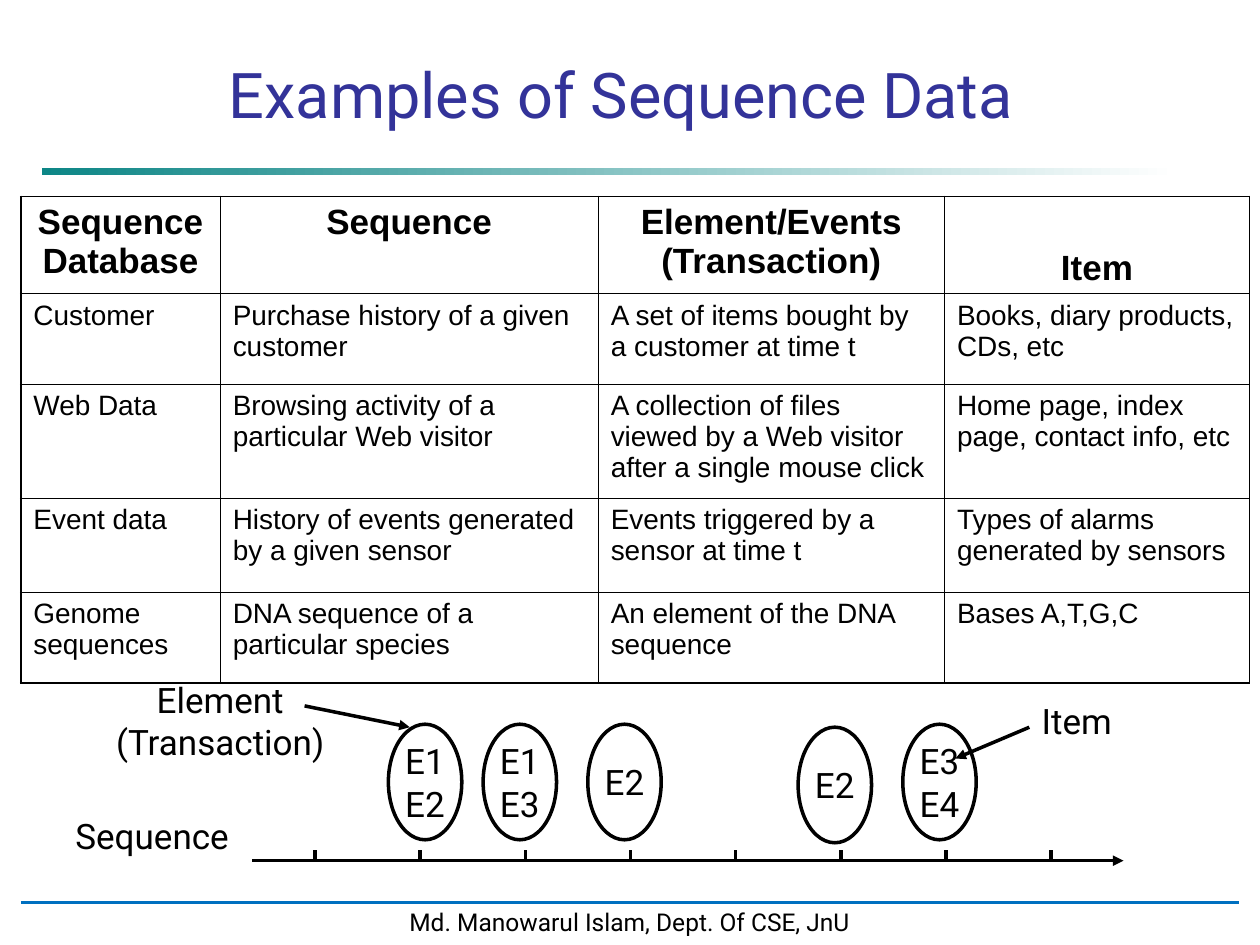
from pptx import Presentation
from pptx.dml.color import RGBColor
from pptx.enum.shapes import MSO_CONNECTOR, MSO_SHAPE
from pptx.enum.text import MSO_ANCHOR as Anchor, MSO_AUTO_SIZE as AutoSize, PP_ALIGN as Align
from pptx.oxml.ns import qn
from pptx.util import Cm, Pt
from lxml.etree import SubElement

TITLE = "Examples of Sequence Data"
FOOTER = "Md. Manowarul Islam, Dept. Of CSE, JnU"
TABLE = [
    ("Sequence Database", "Sequence", "Element/Events (Transaction)", "Item"),
    ("Customer", "Purchase history of a given customer",
     "A set of items bought by a customer at time t", "Books, diary products, CDs, etc"),
    ("Web Data", "Browsing activity of a particular Web visitor",
     "A collection of files viewed by a Web visitor after a single mouse click",
     "Home page, index page, contact info, etc"),
    ("Event data", "History of events generated by a given sensor",
     "Events triggered by a sensor at time t", "Types of alarms generated by sensors"),
    ("Genome sequences", "DNA sequence of a particular species",
     "An element of the DNA sequence", "Bases A,T,G,C"),
]
COLUMN_WIDTHS = [4.02, 7.62, 6.98, 6.15]
ROW_HEIGHTS = [1.96, 1.82, 2.3, 1.9, 1.83]
ELEMENTS = [("E1\nE2", 7.83, 14.6), ("E1\nE3", 9.74, 14.6), ("E2", 11.85, 14.6),
            ("E2", 16.09, 14.66), ("E3\nE4", 18.2, 14.6)]
LABELS = [("Sequence", 1.27, 16.3, 4.24, 1.12, Align.LEFT),
          ("Element (Transaction)", 1.9, 13.55, 5.08, 1.96, Align.CENTER),
          ("Item", 20.75, 13.97, 2.75, 1.12, Align.LEFT)]
ARROWS = [(5.08, 17.35, 22.65, 17.35), (6.14, 14.23, 8.26, 14.66), (20.75, 14.66, 19.26, 15.29)]
TICK_START, TICK_GAP, TICK_COUNT = 6.35, 2.12, 8
TICK_TOP, AXIS_Y = 17.14, 17.35
BLACK, WHITE = "000000", "FFFFFF"


def color(value):
    return RGBColor.from_string(value)


def write(frame, text, font="Roboto", size=20, ink=BLACK, bold=False,
          align=Align.LEFT, anchor=Anchor.TOP, wrap=True, after=0):
    frame.word_wrap = wrap
    frame.vertical_anchor = anchor
    para = frame.paragraphs[0]
    para.text = text
    para.alignment = align
    para.space_before, para.space_after = Pt(0), Pt(after)
    for span in para.runs:
        span.font.name, span.font.size, span.font.bold = font, Pt(size), bold
        span.font.color.rgb = color(ink)


def draw_shape(page, kind, left, top, width, height):
    shape = page.shapes.add_shape(kind, Cm(left), Cm(top), Cm(width), Cm(height))
    shape.shadow.inherit = False
    return shape


def draw_line(page, start_x, start_y, end_x, end_y, ink=BLACK, width=2, arrow=False):
    line = page.shapes.add_connector(
        MSO_CONNECTOR.STRAIGHT, Cm(start_x), Cm(start_y), Cm(end_x), Cm(end_y))
    line.line.color.rgb = color(ink)
    line.line.width = Pt(width)
    if arrow:
        SubElement(line.line._get_or_add_ln(), qn("a:tailEnd"), type="triangle")
    SubElement(line._element.spPr, qn("a:effectLst"))


def draw_border(cell, side, width):
    border = SubElement(cell._tc.get_or_add_tcPr(), qn(f"a:ln{side}"), w=str(Pt(width)))
    fill = SubElement(border, qn("a:solidFill"))
    SubElement(fill, qn("a:srgbClr"), val=BLACK)


def draw_table(page):
    last_row, last_column = len(TABLE) - 1, len(COLUMN_WIDTHS) - 1
    table = page.shapes.add_table(
        len(TABLE), len(COLUMN_WIDTHS), Cm(0.42), Cm(3.96),
        Cm(sum(COLUMN_WIDTHS)), Cm(sum(ROW_HEIGHTS))).table
    table.first_row = table.horz_banding = False
    for column, width in zip(table.columns, COLUMN_WIDTHS):
        column.width = Cm(width)
    for row, height in zip(table.rows, ROW_HEIGHTS):
        row.height = Cm(height)
    for r, texts in enumerate(TABLE):
        for c, text in enumerate(texts):
            cell = table.cell(r, c)
            header = r == 0
            write(cell.text_frame, text, font="Arial", size=20 if header else 16, bold=header,
                  align=Align.CENTER if header else Align.LEFT, after=4)
            cell.vertical_anchor = Anchor.BOTTOM if text == "Item" else Anchor.TOP
            outer = {"L": c == 0, "R": c == last_column, "T": r == 0, "B": r == last_row}
            for side, is_outer in outer.items():
                draw_border(cell, side, 1.08 if is_outer else 0.45)
            cell.fill.background()


def draw_frame(page):
    rule = draw_shape(page, MSO_SHAPE.RECTANGLE, 0.85, 3.38, 22.86, 0.14)
    rule.line.fill.background()
    rule.fill.gradient()
    rule.fill.gradient_angle = 0
    for stop, ink in zip(rule.fill.gradient_stops, ("0D8686", WHITE)):
        stop.color.rgb = color(ink)
    footer = draw_shape(page, MSO_SHAPE.RECTANGLE, 0.42, 18.16, 24.55, 0.85)
    footer.fill.solid()
    footer.fill.fore_color.rgb = color(WHITE)
    footer.line.color.rgb = color(WHITE)
    footer.line.width = Pt(2)
    write(footer.text_frame, FOOTER, size=14, align=Align.CENTER, wrap=False)
    draw_line(page, 0.42, 18.2, 24.97, 18.2, ink="0070C0", width=1.75)
    title = page.shapes.title
    title.left, title.top, title.width, title.height = Cm(1.7), Cm(1.07), Cm(21.64), Cm(1.7)
    write(title.text_frame, TITLE, size=36, ink="333399", align=Align.CENTER,
          anchor=Anchor.BOTTOM)
    title.text_frame.auto_size = AutoSize.NONE


def draw_timeline(page):
    for index in range(TICK_COUNT):
        x = TICK_START + index * TICK_GAP
        draw_line(page, x, TICK_TOP, x, AXIS_Y)
    for text, left, top in ELEMENTS:
        oval = draw_shape(page, MSO_SHAPE.OVAL, left, top, 1.48, 2.33)
        oval.fill.background()
        oval.line.color.rgb = color(BLACK)
        oval.line.width = Pt(2)
        write(oval.text_frame, text, align=Align.CENTER, anchor=Anchor.MIDDLE, wrap=False)
    for text, left, top, width, height, align in LABELS:
        box = page.shapes.add_textbox(Cm(left), Cm(top), Cm(width), Cm(height))
        write(box.text_frame, text, align=align)
    for ends in ARROWS:
        draw_line(page, *ends, arrow=True)


def main():
    deck = Presentation()
    deck.slide_width, deck.slide_height = Cm(25.4), Cm(19.05)
    page = deck.slides.add_slide(deck.slide_layouts[5])
    draw_frame(page)
    draw_table(page)
    draw_timeline(page)
    deck.save("out.pptx")


if __name__ == "__main__":
    main()
